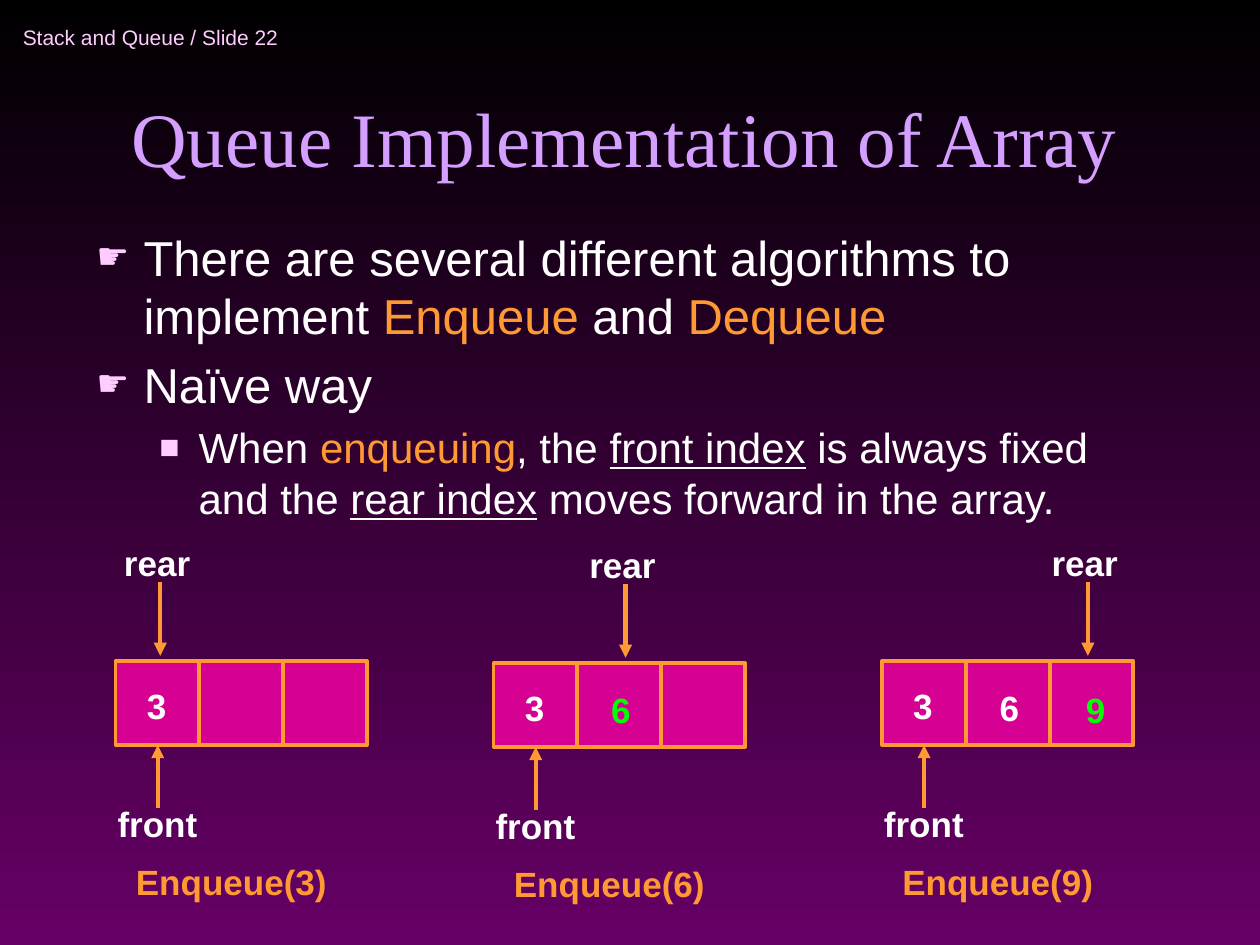
from dataclasses import dataclass
from typing import NamedTuple

from lxml.etree import SubElement
from pptx import Presentation
from pptx.dml.color import RGBColor
from pptx.enum.shapes import MSO_CONNECTOR as CONN, MSO_SHAPE as SHAPE
from pptx.enum.text import MSO_ANCHOR as ANCHOR, MSO_AUTO_SIZE as AUTO, PP_ALIGN as ALIGN
from pptx.oxml.ns import qn
from pptx.util import Cm, Pt

COLORS = {
    "top": "000000", "bottom": "660066", "title": "D49FFF", "pale": "FFCCFF",
    "text": "FFFFFF", "accent": "FF9933", "cell": "D60093", "new": "00FF00",
}
CELL = 1.69
CELLS = 3


class Span(NamedTuple):
    text: str
    color: str = "text"
    underline: bool = False


@dataclass
class Bullet:
    spans: list[Span]
    level: int = 0
    size: int = 28
    indent: float = 0.95
    hanging: float = 0.95
    char: str = "☛"
    char_pct: int = 75


@dataclass
class Queue:
    left: float
    top: float
    values: list[int]
    rear_x: float


BULLETS = [
    Bullet([Span("There are several different algorithms to implement "),
            Span("Enqueue", "accent"), Span(" and "), Span("Dequeue", "accent")]),
    Bullet([Span("Naïve way")]),
    Bullet([Span("When "), Span("enqueuing", "accent"), Span(", the "),
            Span("front index", underline=True), Span(" is always fixed and the "),
            Span("rear index", underline=True), Span(" moves forward in the array.")],
           level=1, size=24, indent=2.06, hanging=0.79, char="■", char_pct=80),
]
QUEUES = [
    Queue(2.33, 13.33, [3], 3.23),
    Queue(9.95, 13.37, [3, 6], 12.61),
    Queue(17.78, 13.33, [3, 6, 9], 21.93),
]


def rgb(name: str) -> RGBColor:
    return RGBColor.from_string(COLORS[name])


def style(r, size: float, color: str, font: str = "Arial", bold: bool = False) -> None:
    r.font.name, r.font.size, r.font.bold = font, Pt(size), bold
    r.font.color.rgb = rgb(color)


def place(sp, left: float, top: float, width: float, height: float) -> None:
    sp.left, sp.top, sp.width, sp.height = Cm(left), Cm(top), Cm(width), Cm(height)


def add_label(slide, text: str, left: float, top: float, width: float,
              color: str = "text") -> None:
    tf = slide.shapes.add_textbox(Cm(left), Cm(top), Cm(width), Cm(1.1)).text_frame
    tf.word_wrap = True
    tf.text = text
    style(tf.paragraphs[0].runs[0], 20, color, bold=True)


def add_arrow(slide, x: float, start: float, end: float) -> None:
    arrow = slide.shapes.add_connector(CONN.STRAIGHT, Cm(x), Cm(start), Cm(x), Cm(end))
    arrow.line.color.rgb = rgb("accent")
    arrow.line.width = Pt(2.5)
    spPr = arrow._element.spPr
    SubElement(spPr.get_or_add_ln(), qn("a:tailEnd"), type="triangle")
    SubElement(spPr, qn("a:effectLst"))


def add_bullet(p, bullet: Bullet) -> None:
    p.level = bullet.level
    p.space_before = Pt(bullet.size * 0.2)
    for span in bullet.spans:
        r = p.add_run()
        r.text = span.text
        style(r, bullet.size, span.color)
        r.font.underline = span.underline
    pPr = p._p.get_or_add_pPr()
    pPr.set("marL", str(Cm(bullet.indent)))
    pPr.set("indent", str(-Cm(bullet.hanging)))
    SubElement(SubElement(pPr, qn("a:buClr")), qn("a:srgbClr"), val=COLORS["pale"])
    SubElement(pPr, qn("a:buSzPct"), val=str(bullet.char_pct * 1000))
    SubElement(pPr, qn("a:buFont"), typeface="Arial")
    SubElement(pPr, qn("a:buChar"), char=bullet.char)


def add_queue(slide, q: Queue) -> None:
    # Array cells
    for i in range(CELLS):
        sp = slide.shapes.add_shape(SHAPE.RECTANGLE, Cm(q.left + i * CELL), Cm(q.top),
                                    Cm(CELL), Cm(CELL))
        sp.shadow.inherit = False
        sp.fill.solid()
        sp.fill.fore_color.rgb = rgb("cell")
        sp.line.color.rgb = rgb("accent")
        sp.line.width = Pt(2.25)

    # Index pointers
    add_label(slide, "front", q.left - 0.21, q.top + 2.72, 2.75)
    add_arrow(slide, q.left + 0.85, q.top + 2.96, q.top + CELL)
    add_label(slide, "rear", q.rear_x - 0.98, q.top - 2.54, 2.75)
    add_arrow(slide, q.rear_x, q.top - 1.6, q.top - 0.11)

    # Operation and stored values, the newest one highlighted
    add_label(slide, f"Enqueue({q.values[-1]})", q.left + 0.16, q.top + 3.9, 4.9, "accent")
    for i, value in enumerate(q.values):
        newest = i > 0 and i == len(q.values) - 1
        add_label(slide, str(value), q.left + 0.38 + i * 1.74, q.top + 0.34 + i * 0.04,
                  0.85, "new" if newest else "text")


prs = Presentation()
prs.slide_width, prs.slide_height = Cm(25.4), Cm(19.05)
slide = prs.slides.add_slide(prs.slide_layouts[1])

# Background
fill = slide.background.fill
fill.gradient()
fill.gradient_angle = 270
for stop, name in zip(fill.gradient_stops, ("top", "bottom")):
    stop.color.rgb = rgb(name)

# Running header
tf = slide.shapes.add_textbox(Cm(0.21), Cm(0.21), Cm(6.99), Cm(1.06)).text_frame
tf.word_wrap = False
tf.vertical_anchor = ANCHOR.MIDDLE
tf.text = "Stack and Queue / Slide 22"
style(tf.paragraphs[0].runs[0], 12, "pale")

# Title
title = slide.shapes.title
place(title, 1.69, 0.64, 21.8, 3.17)
tf = title.text_frame
tf.auto_size = AUTO.NONE
tf.vertical_anchor = ANCHOR.BOTTOM
tf.text = "Queue Implementation of Array"
tf.paragraphs[0].alignment = ALIGN.CENTER
style(tf.paragraphs[0].runs[0], 44, "title", "Times New Roman")

# Bullet list
body = slide.placeholders[1]
place(body, 1.69, 4.45, 21.8, 6.98)
tf = body.text_frame
tf.auto_size = AUTO.NONE
for i, bullet in enumerate(BULLETS):
    add_bullet(tf.add_paragraph() if i else tf.paragraphs[0], bullet)

# Queue states
for queue in QUEUES:
    add_queue(slide, queue)

prs.save("out.pptx")
